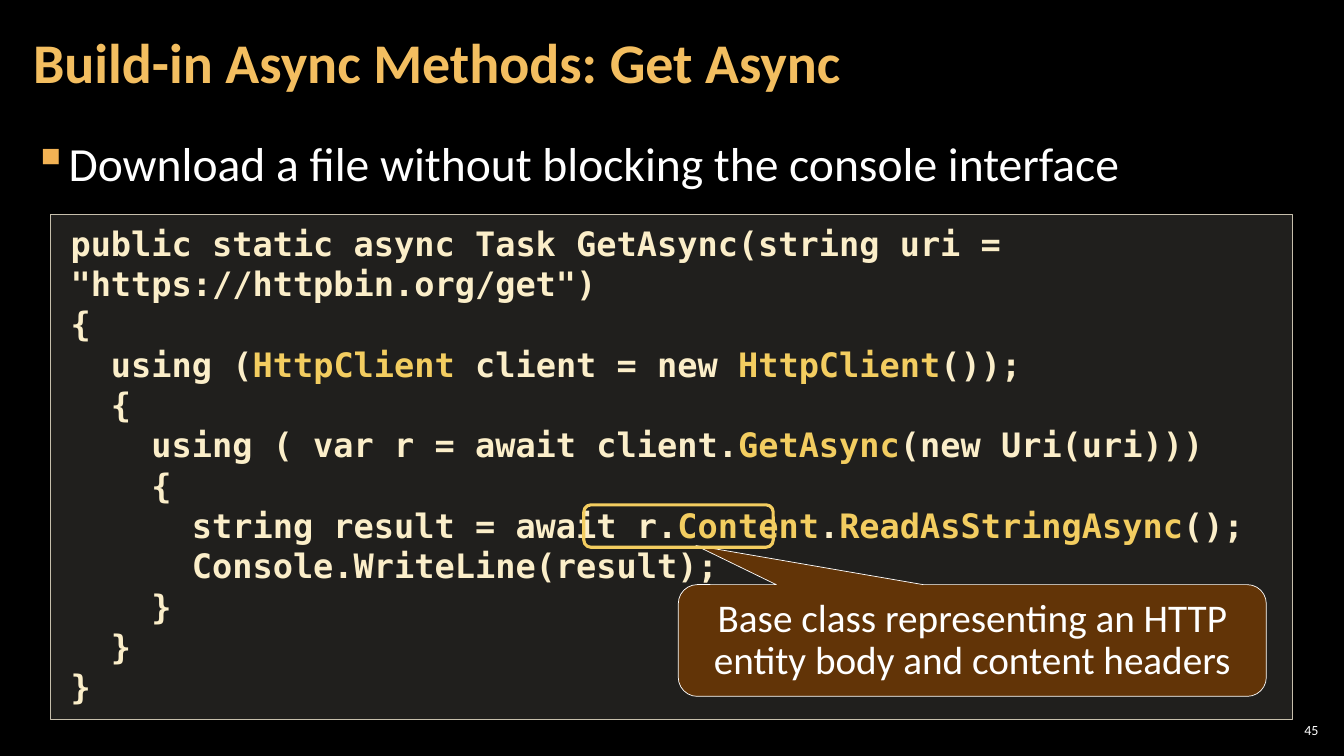
import pptx
import pptx.dml.color
import pptx.enum.shapes
import pptx.enum.text
import pptx.oxml
import pptx.oxml.ns
import pptx.util
from lxml import etree

Pt = pptx.util.Pt
Inches = pptx.util.Inches
Shape = pptx.enum.shapes.MSO_SHAPE
Align = pptx.enum.text.PP_ALIGN
Anchor = pptx.enum.text.MSO_ANCHOR
qn = pptx.oxml.ns.qn

HUES = {
    "back": "000000", "title": "F3BE60", "text": "FFFFFF",
    "bullet": "F2B254", "code": "FBEEC9", "accent": "F3CD60",
    "panel": "D9D5C7", "edge": "C7BFAC", "note": "663606",
}

CODE = """public static async Task GetAsync(string uri = "https://httpbin.org/get")
{
  using (|HttpClient| client = new |HttpClient|());
  {
    using ( var r = await client.|GetAsync|(new Uri(uri)))
    {
      string result = await r.|Content|.|ReadAsStringAsync|();
      Console.WriteLine(result);
    }
  }
}"""


def hue(name):
    return pptx.dml.color.RGBColor.from_string(HUES[name])


def apply(item, values):
    for name, value in values.items():
        setattr(item, name, value)


class Deck:
    cell = Inches(1) / 12
    cols, rows = 160, 90

    def __init__(self):
        self.show = pptx.Presentation()
        self.show.slide_width = round(self.cols * self.cell)
        self.show.slide_height = round(self.rows * self.cell)
        self.slide = self.show.slides.add_slide(self.show.slide_layouts[5])
        fill = self.slide.background.fill
        fill.solid()
        fill.fore_color.rgb = hue("back")

    def grid(self, at):
        return [round(n * self.cell) for n in at]

    def label(self, shape, lines, font, color, para=None, inset=(0.12, 0.04), anchor=Anchor.TOP):
        frame = shape.text_frame
        side, edge = map(Inches, inset)
        apply(frame, {
            "word_wrap": True, "auto_size": pptx.enum.text.MSO_AUTO_SIZE.NONE,
            "vertical_anchor": anchor, "margin_left": side, "margin_right": side,
            "margin_top": edge, "margin_bottom": edge,
        })
        for i, line in enumerate(lines):
            block = frame.add_paragraph() if i else frame.paragraphs[0]
            apply(block, {"alignment": Align.LEFT, **(para or {})})
            for j, part in enumerate(line.split("|")):
                run = block.add_run()
                run.text = part
                apply(run.font, font)
                run.font.color.rgb = hue("accent" if j % 2 else color)
        return frame.paragraphs

    def indent(self, block, left, first=0):
        props = block._p.get_or_add_pPr()
        props.set("marL", str(Inches(left)))
        props.set("indent", str(Inches(first)))
        return props

    def title(self, at, text, font):
        shape = self.slide.shapes.title
        apply(shape, dict(zip(("left", "top", "width", "height"), self.grid(at))))
        self.label(shape, [text], font, "title", {"line_spacing": 0.9}, anchor=Anchor.MIDDLE)

    def text(self, at, text, font, **style):
        box = self.slide.shapes.add_textbox(*self.grid(at))
        return self.label(box, [text], font, "text", **style)

    def bullet(self, at, text, font):
        block = self.text(at, text, font, para={"line_spacing": 1.05, "space_after": Pt(6)})[0]
        props = self.indent(block, 0.33, -0.33)
        tint = etree.SubElement(props, qn("a:buClr"))
        etree.SubElement(tint, qn("a:srgbClr"), val=HUES["bullet"])
        etree.SubElement(props, qn("a:buChar"), char="▪")

    def shape(self, kind, at, line, width, fill=None, alpha=100, adjust=()):
        shape = self.slide.shapes.add_shape(kind, *self.grid(at))
        shape.shadow.inherit = False
        shape.line.color.rgb = hue(line)
        shape.line.width = Pt(width)
        for i, value in enumerate(adjust):
            shape.adjustments[i] = value
        if fill:
            shape.fill.solid()
            shape.fill.fore_color.rgb = hue(fill)
            tint = shape._element.spPr.find(qn("a:solidFill"))[0]
            etree.SubElement(tint, qn("a:alpha"), val=str(alpha * 1000))
        else:
            shape.fill.background()
        return shape

    def code(self, at, text, font):
        panel = self.shape(Shape.RECTANGLE, at, "edge", 1, "panel", 15)
        for block in self.label(panel, text.splitlines(), font, "code", inset=(0, 0.08)):
            self.indent(block, 0.2)

    def callout(self, at, text, font, adjust):
        note = self.shape(Shape.ROUNDED_RECTANGULAR_CALLOUT, at, "text", 0.5, "note", 95, adjust)
        para = {"alignment": Align.CENTER, "line_spacing": Pt(30)}
        self.label(note, [text], font, "text", para, (0.1, 0.08), Anchor.MIDDLE)

    def frame(self, at):
        self.shape(Shape.ROUNDED_RECTANGLE, at, "accent", 2.25)


def main():
    deck = Deck()
    sans = {"name": "Calibri"}
    mono = {"name": "DejaVu Sans Mono", "size": Pt(24), "bold": True}
    deck.text((151.8, 85.7, 5.64, 2.5), "45", {**sans, "size": Pt(10)},
              para={"alignment": Align.RIGHT}, inset=(0.04, 0.04), anchor=Anchor.MIDDLE)
    deck.bullet((2.5, 15.1, 154.9, 73.1),
                "Download a file without blocking the console interface",
                {**sans, "size": Pt(34)})
    deck.title((2.5, 0.5, 125.6, 14.5), "Build-in Async Methods: Get Async",
               {**sans, "size": Pt(40), "bold": True})
    deck.code((6, 25.55, 147.85, 60.1), CODE, mono)
    deck.callout((80.75, 69.6, 70, 13.3),
                 "Base class representing an HTTP entity body and content headers",
                 {**sans, "size": Pt(28)}, (-0.47, -0.85, 0.17))
    deck.frame((69.5, 60.1, 22.55, 5.05))
    deck.show.save("out.pptx")


if __name__ == "__main__":
    main()
